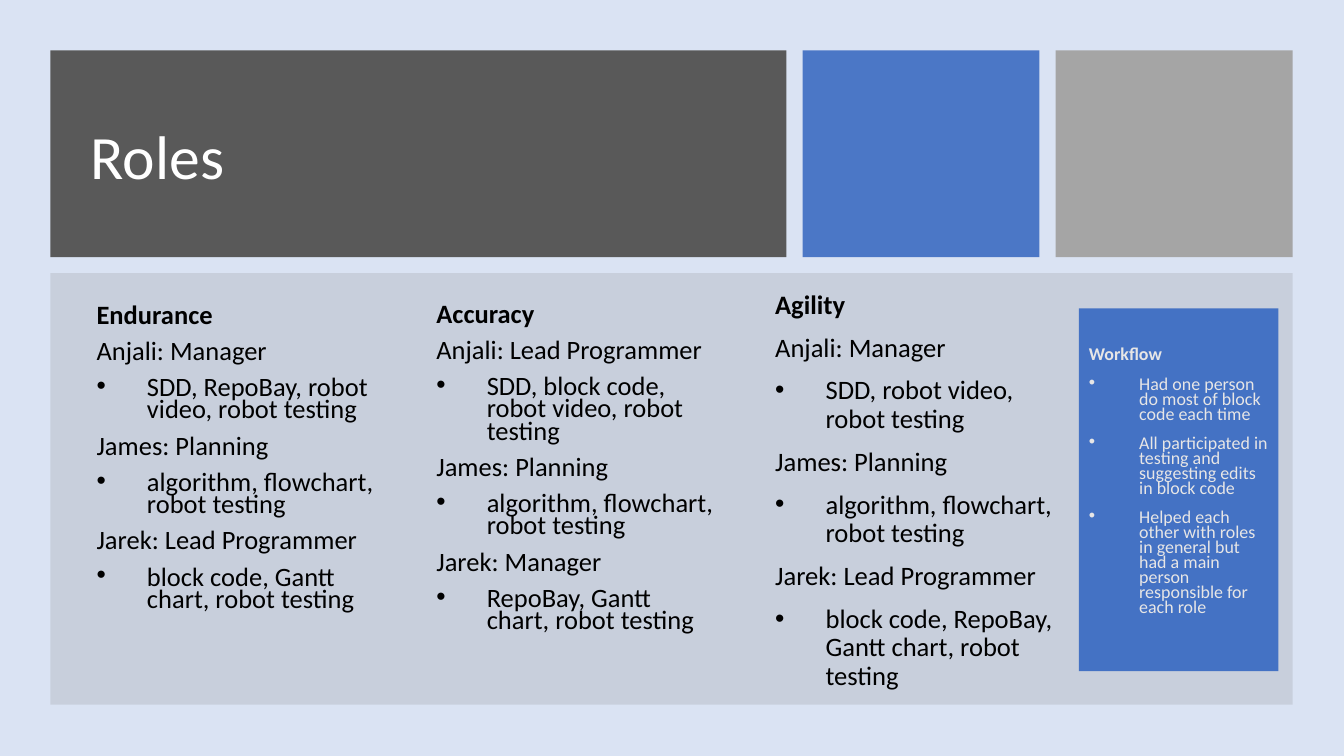
import pptx
import pptx.util
import pptx.dml.color
import pptx.enum.shapes
import pptx.enum.text
import pptx.oxml.ns
from lxml import etree

Inches = pptx.util.Inches
Pt = pptx.util.Pt
qn = pptx.oxml.ns.qn
Anchor = pptx.enum.text.MSO_ANCHOR
Align = pptx.enum.text.PP_ALIGN
RGB = pptx.dml.color.RGBColor.from_string

COLORS = {"back": "DAE3F3", "dark": "595959", "blue": "4472C4", "gray": "A5A5A5",
          "panel": "808080", "white": "FFFFFF", "black": "000000", "pale": "E7E6E6"}

prs = pptx.Presentation()
prs.slide_width = Inches(13.33)
prs.slide_height = Inches(7.5)
slide = prs.slides.add_slide(prs.slide_layouts[5])
slide.background.fill.solid()
slide.background.fill.fore_color.rgb = RGB(COLORS["back"])


def add_rect(left, top, width, height, color, alpha=100):
    rect = slide.shapes.add_shape(pptx.enum.shapes.MSO_SHAPE.RECTANGLE, Inches(left),
                                  Inches(top), Inches(width), Inches(height))
    rect.shadow.inherit = False
    rect.line.fill.background()
    rect.fill.solid()
    rect.fill.fore_color.rgb = RGB(COLORS[color])
    if alpha < 100:
        tone = rect.element.spPr.find(qn("a:solidFill"))[0]
        etree.SubElement(tone, qn("a:alpha"), val=str(alpha * 1000))
    return rect


def fill_text(shape, lines, size, color, space, foot):
    frame = shape.text_frame
    frame.word_wrap = True
    frame.auto_size = pptx.enum.text.MSO_AUTO_SIZE.NONE
    frame.vertical_anchor = Anchor.MIDDLE
    frame.margin_bottom = Inches(0.05 + foot)
    for i, line in enumerate(lines):
        para = frame.paragraphs[0] if i == 0 else frame.add_paragraph()
        para.alignment = Align.LEFT
        para.line_spacing = space
        para.space_before = Pt(10)
        # A leading star marks a bulleted line
        if line.startswith("*"):
            props = para._p.get_or_add_pPr()
            props.set("marL", str(Inches(0.5)))
            props.set("indent", str(Inches(-0.5)))
            etree.SubElement(props, qn("a:buFont"), typeface="Arial")
            etree.SubElement(props, qn("a:buChar"), char="•")
        run = para.add_run()
        run.text = line.lstrip("*")
        run.font.name = "Calibri"
        run.font.size = Pt(size)
        run.font.bold = i == 0
        run.font.color.rgb = RGB(COLORS[color])


# Header blocks and panel
bar = add_rect(0.5, 0.5, 7.3, 2.05, "dark")
add_rect(7.96, 0.5, 2.35, 2.05, "blue", 95)
add_rect(10.47, 0.5, 2.35, 2.05, "gray")
add_rect(0.5, 2.71, 12.32, 4.28, "panel", 20)

# Title, placed in front of its bar
title = slide.shapes.title
bar.element.addnext(title.element)
title.left, title.top = Inches(0.8), Inches(0.8)
title.width, title.height = Inches(6.66), Inches(1.56)
title.text_frame.vertical_anchor = Anchor.MIDDLE
title.text_frame.auto_size = pptx.enum.text.MSO_AUTO_SIZE.NONE
head = title.text_frame.paragraphs[0]
head.alignment = Align.LEFT
head.line_spacing = 0.9
run = head.add_run()
run.text = "Roles"
run.font.name = "Calibri"
run.font.size = Pt(44)
run.font.color.rgb = RGB(COLORS["white"])

# Role columns: left, top, size, line spacing, foot room, lines
columns = [
    (0.86, 2.87, 18.9, 0.7, 0.21, [
        "Endurance",
        "Anjali: Manager", "*SDD, RepoBay, robot video, robot testing",
        "James: Planning", "*algorithm, flowchart, robot testing",
        "Jarek: Lead Programmer", "*block code, Gantt chart, robot testing"]),
    (4.23, 2.97, 18.9, 0.7, 0.21, [
        "Accuracy",
        "Anjali: Lead Programmer", "*SDD, block code, robot video, robot testing",
        "James: Planning", "*algorithm, flowchart, robot testing",
        "Jarek: Manager", "*RepoBay, Gantt chart, robot testing"]),
    (7.59, 3.08, 19, 0.9, 0, [
        "Agility",
        "Anjali: Manager", "*SDD, robot video, robot testing",
        "James: Planning", "*algorithm, flowchart, robot testing",
        "Jarek: Lead Programmer", "*block code, RepoBay, Gantt chart, robot testing"]),
]
for left, top, size, space, foot, lines in columns:
    box = slide.shapes.add_textbox(Inches(left), Inches(top), Inches(3), Inches(3.59))
    fill_text(box, lines, size, "black", space, foot)

# Workflow card
card = add_rect(10.7, 3.06, 1.98, 3.6, "blue")
fill_text(card, [
    "Workflow",
    "*Had one person do most of block code each time",
    "*All participated in testing and suggesting edits in block code",
    "*Helped each other with roles in general but had a main person responsible for each role",
], 12.8, "pale", 0.7, 0.14)

prs.save("out.pptx")
